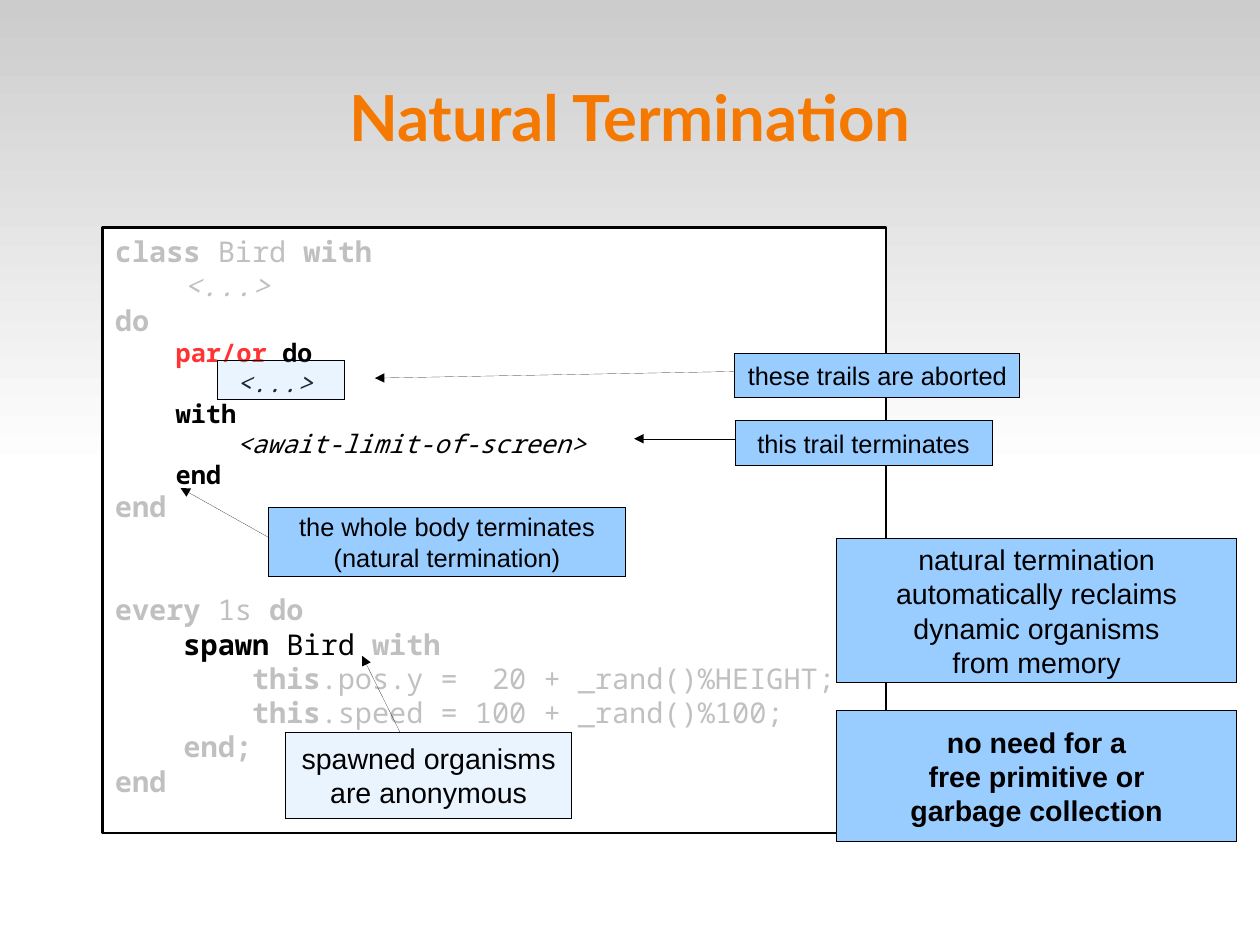
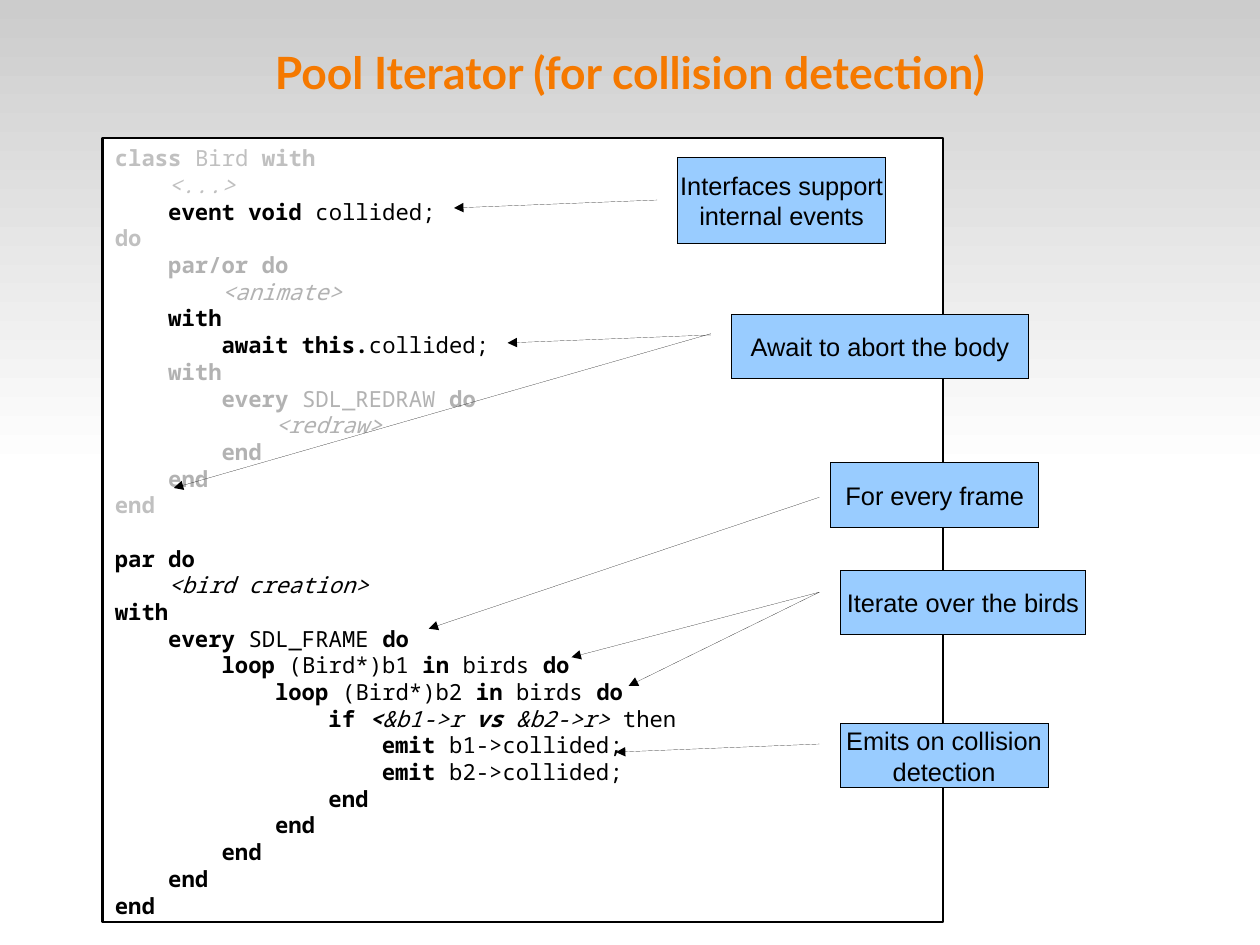
import pptx
import pptx.dml.color
import pptx.enum.shapes
import pptx.enum.text
import pptx.oxml
import pptx.oxml.ns
import pptx.util
from collections import namedtuple
from lxml import etree

Pt = pptx.util.Pt
RECT = pptx.enum.shapes.MSO_SHAPE.RECTANGLE
ALIGN = pptx.enum.text.PP_ALIGN
ANCHOR = pptx.enum.text.MSO_ANCHOR

WIDTH, HEIGHT = 793.7, 595.28
BLACK, WHITE, BLUE, ORANGE = "000000", "FFFFFF", "99CCFF", "F57900"
LINE_SPACING = 1.2
HAIRLINE = 0.01

Style = namedtuple("Style", "colour bold italic", defaults=(False, False))
PLAIN = Style(BLACK)
KEY = Style(BLACK, bold=True)
NOTE = Style(BLACK, italic=True)
KEY_NOTE = Style(BLACK, bold=True, italic=True)
ALERT = Style("FF3333", bold=True)
FADED = Style("C0C0C0")
FADED_KEY = Style("C0C0C0", bold=True)
FADED_NOTE = Style("C0C0C0", italic=True)
DIM = Style("B2B2B2")
DIM_KEY = Style("B2B2B2", bold=True)
DIM_NOTE = Style("B2B2B2", italic=True)

Block = namedtuple("Block", "size blank_lines lines")

BIRD_HEAD = [
    [("class", FADED_KEY), (" Bird ", FADED), ("with", FADED_KEY)],
    [("    <...>", FADED_NOTE)],
]

TERMINATION_CODE = [
    Block(18, 0, BIRD_HEAD + [[("do", FADED_KEY)]]),
    Block(16, 0, [
        [("    par/or", ALERT), (" do", KEY)],
        [("        <...>", NOTE)],
        [("    with", KEY)],
        [("        <await-limit-of-screen>", NOTE)],
        [("    end", KEY)],
    ]),
    Block(18, 0, [[("end", FADED_KEY)]]),
    Block(18, 2, [
        [("every ", FADED_KEY), ("1s", FADED), (" do", FADED_KEY)],
        [("    spawn ", KEY), ("Bird", PLAIN), (" with", FADED_KEY)],
        [("        this", FADED_KEY), (".pos.y =  20 + _rand()%HEIGHT;", FADED)],
        [("        this", FADED_KEY), (".speed = 100 + _rand()%100;", FADED)],
        [("    end;", FADED_KEY)],
        [("end", FADED_KEY)],
    ]),
]

ITERATOR_CODE = [
    Block(14, 0, BIRD_HEAD + [
        [("    event void", KEY), (" collided;", PLAIN)],
        [("do", FADED_KEY)],
        [("    par/or do", DIM_KEY)],
        [("        <animate>", DIM_NOTE)],
        [("    with", KEY)],
        [("        await this.", KEY), ("collided;", PLAIN)],
        [("    with", DIM_KEY)],
        [("        every", DIM_KEY), (" SDL_REDRAW", DIM), (" do", DIM_KEY)],
        [("            <redraw>", DIM_NOTE)],
        [("        end", DIM_KEY)],
        [("    end", DIM_KEY)],
        [("end", FADED_KEY)],
    ]),
    Block(14, 1, [
        [("par do", KEY)],
        [("    <bird creation>", NOTE)],
        [("with", KEY)],
        [("    every", KEY), (" SDL_FRAME ", PLAIN), ("do", KEY)],
        [("        loop ", KEY), ("(Bird*)b1 ", PLAIN), ("in ", KEY),
         ("birds ", PLAIN), ("do", KEY)],
        [("            loop", KEY), (" (Bird*)b2 ", PLAIN), ("in ", KEY),
         ("birds ", PLAIN), ("do", KEY)],
        [("                if ", KEY), ("<", KEY_NOTE), ("&b1->r ", NOTE),
         ("vs", KEY_NOTE), (" &b2->r>", NOTE), (" then", PLAIN)],
        [("                    emit", KEY), (" b1->collided;", PLAIN)],
        [("                    emit", KEY), (" b2->collided;", PLAIN)],
        [("                end", KEY)],
        [("            end", KEY)],
        [("        end", KEY)],
        [("    end", KEY)],
        [("end", KEY)],
    ]),
]


def set_colour(target, value):
    target.rgb = pptx.dml.color.RGBColor.from_string(value)


def set_font(font, name, size, style):
    font.name = name
    font.size = Pt(size)
    font.bold = style.bold
    font.italic = style.italic
    set_colour(font.color, style.colour)


def set_insets(tf, x, y):
    tf.margin_left = tf.margin_right = Pt(x)
    tf.margin_top = tf.margin_bottom = Pt(y)


def add_box(slide, x, y, w, h, fill, line_width, opacity=100):
    sp = slide.shapes.add_shape(RECT, Pt(x), Pt(y), Pt(w), Pt(h))
    sp.shadow.inherit = False
    sp.fill.solid()
    set_colour(sp.fill.fore_color, fill)
    if opacity < 100:
        solid = sp.element.spPr.find(pptx.oxml.ns.qn("a:solidFill"))
        etree.SubElement(solid[0], pptx.oxml.ns.qn("a:alpha"), val=str(opacity * 1000))
    set_colour(sp.line.color, BLACK)
    sp.line.width = Pt(line_width)
    return sp


def add_callout(slide, text, x, y, w, h, size=16, style=PLAIN, opacity=100):
    tf = add_box(slide, x, y, w, h, BLUE, HAIRLINE, opacity).text_frame
    tf.word_wrap = False
    tf.vertical_anchor = ANCHOR.MIDDLE
    set_insets(tf, 7.2, 3.6)
    tf.text = text
    for p in tf.paragraphs:
        p.alignment = ALIGN.CENTER
        set_font(p.runs[0].font, "Arial", size, style)


def add_arrow(slide, x1, y1, x2, y2):
    cx = slide.shapes.add_connector(
        pptx.enum.shapes.MSO_CONNECTOR.STRAIGHT, Pt(x1), Pt(y1), Pt(x2), Pt(y2))
    set_colour(cx.line.color, BLACK)
    cx.line.width = Pt(HAIRLINE)
    spPr = cx.element.spPr
    ln = spPr.find(pptx.oxml.ns.qn("a:ln"))
    etree.SubElement(ln, pptx.oxml.ns.qn("a:tailEnd"), type="triangle")
    etree.SubElement(spPr, pptx.oxml.ns.qn("a:effectLst"))


def add_code(slide, blocks, x, y, w, h):
    tf = add_box(slide, x, y, w, h, WHITE, 1.45).text_frame
    tf.word_wrap = True
    tf.vertical_anchor = ANCHOR.TOP
    set_insets(tf, 7.8, 4.2)
    p = None
    for block in blocks:
        for i, line in enumerate(block.lines):
            p = tf.add_paragraph() if p else tf.paragraphs[0]
            p.alignment = ALIGN.LEFT
            if i == 0 and block.blank_lines:
                p.space_before = Pt(block.blank_lines * block.size * LINE_SPACING)
            for text, style in line:
                r = p.add_run()
                r.text = text
                set_font(r.font, "Noto Sans Mono", block.size, style)


def add_slide(prs, title, top, size):
    slide = prs.slides.add_slide(prs.slide_layouts[5])
    sp = slide.shapes.title
    sp.left, sp.top, sp.width, sp.height = Pt(39.6), Pt(top), Pt(714.3), Pt(99.3)
    tf = sp.text_frame
    tf.text = title
    tf.word_wrap = True
    tf.auto_size = pptx.enum.text.MSO_AUTO_SIZE.NONE
    tf.vertical_anchor = ANCHOR.MIDDLE
    set_insets(tf, 0, 0)
    p = tf.paragraphs[0]
    p.alignment = ALIGN.CENTER
    set_font(p.runs[0].font, "Lato", size, Style(ORANGE, bold=True))
    return slide


def add_master_band(prs, slide):
    sp = slide.shapes.add_shape(RECT, 0, 0, Pt(WIDTH), Pt(HEIGHT / 2))
    sp.shadow.inherit = False
    sp.line.fill.background()
    sp.fill.gradient()
    sp.fill.gradient_angle = 270
    for stop, colour, position in zip(sp.fill.gradient_stops, ("CCCCCC", WHITE), (0, 1)):
        set_colour(stop.color, colour)
        stop.position = position
    prs.slide_master.shapes.element.insert(2, sp.element)


def fill_termination(slide):
    add_code(slide, TERMINATION_CODE, 64.6, 143.3, 493.4, 381.6)
    add_callout(slide, "spawned organisms\nare anonymous",
                180, 461.4, 180, 54, size=18, opacity=20)
    add_callout(slide, "this trail terminates", 463, 264.9, 162, 28.2)
    add_callout(slide, "the whole body terminates\n(natural termination)",
                169, 319.5, 225.3, 43.4)
    add_callout(slide, "these trails are aborted", 463, 222.5, 179.5, 28.2)
    add_callout(slide, "natural termination\nautomatically reclaims\n"
                "dynamic organisms\nfrom memory", 527, 339, 252, 91.2, size=18)
    add_callout(slide, "no need for a\nfree primitive or\ngarbage collection",
                527, 447.8, 252, 82.1, size=18, style=KEY)
    add_box(slide, 137.3, 227.3, 80, 24.6, BLUE, HAIRLINE, opacity=20)
    for ends in [(252, 461.4, 228.2, 413.2), (463, 234, 236.2, 238.2),
                 (463, 276.4, 399.5, 276.4), (169, 338.4, 113.7, 307.4)]:
        add_arrow(slide, *ends)


def fill_iterator(slide):
    add_code(slide, ITERATOR_CODE, 64.6, 86.9, 529.4, 494)
    add_callout(slide, "Interfaces support\ninternal events", 426.8, 99.2, 131.2, 54)
    for text, x, y, w in [
        ("Await to abort the body", 460.8, 198, 187.2),
        ("For every frame", 523.4, 291.6, 131),
        ("Iterate over the birds", 529.2, 359.5, 154.8),
        ("Emits on collision\ndetection", 529.2, 455.8, 131),
    ]:
        add_callout(slide, text, x, y, w, 40.5)
    for ends in [(414, 126, 286, 131), (447.8, 211, 319.7, 216),
                 (447.8, 210.2, 109.5, 307.4), (516.2, 313.2, 270, 396),
                 (516.2, 373, 360, 414), (516.2, 373, 396, 432),
                 (516.2, 468.7, 388, 473.8)]:
        add_arrow(slide, *ends)


def main():
    prs = pptx.Presentation()
    prs.slide_width, prs.slide_height = Pt(WIDTH), Pt(HEIGHT)
    termination = add_slide(prs, "Natural Termination", 23.7, 40)
    add_master_band(prs, termination)
    fill_termination(termination)
    iterator = add_slide(prs, "Pool Iterator (for collision detection)", -4.4, 28)
    fill_iterator(iterator)
    prs.save("out.pptx")


if __name__ == "__main__":
    main()
